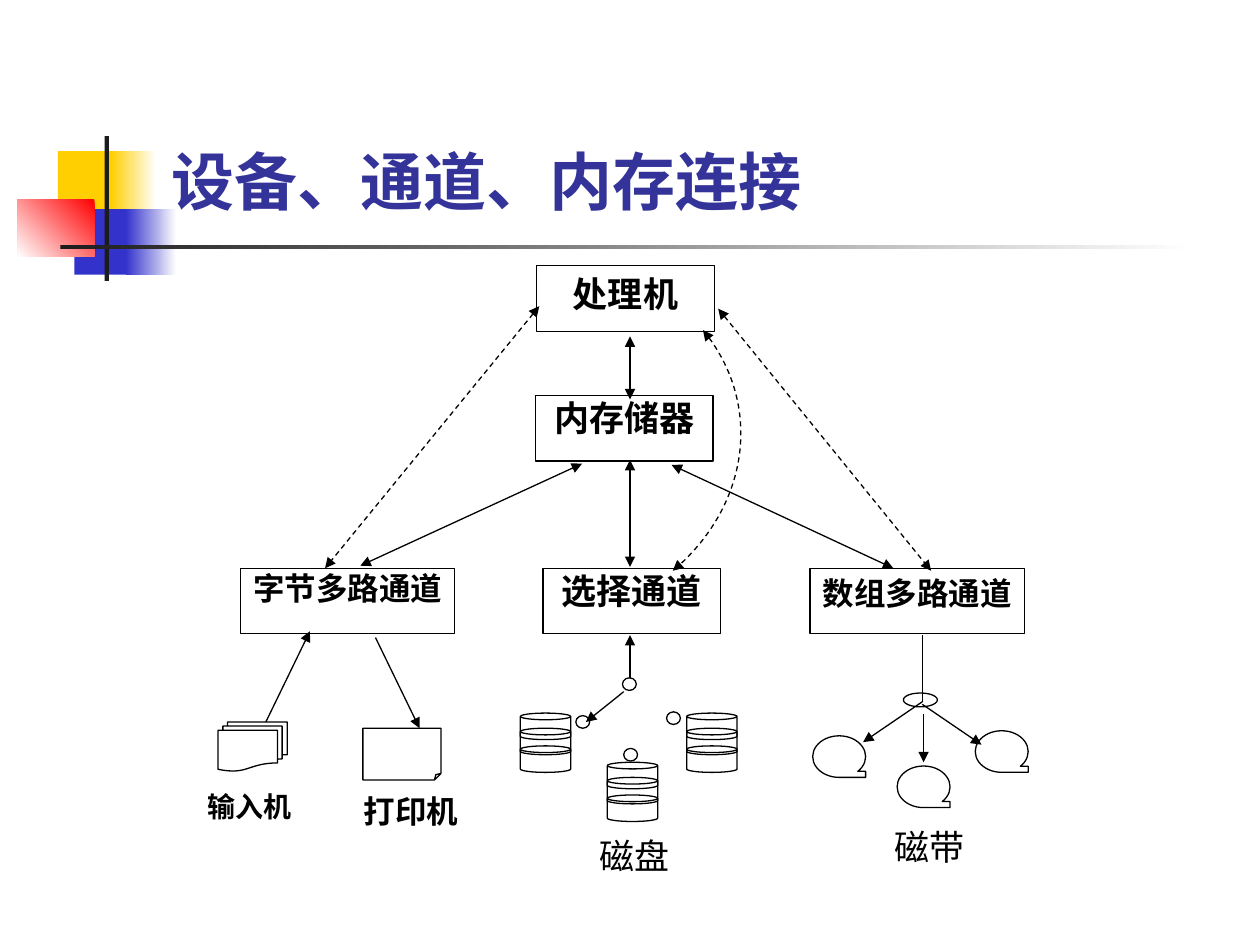
import dataclasses

import lxml.etree
import pptx
import pptx.dml.color
import pptx.enum.dml
import pptx.enum.shapes
import pptx.enum.text
import pptx.oxml.ns
import pptx.util

Pt = pptx.util.Pt
SHAPE = pptx.enum.shapes.MSO_SHAPE
ALIGN = pptx.enum.text.PP_ALIGN
ANCHOR = pptx.enum.text.MSO_ANCHOR
qn = pptx.oxml.ns.qn
rgb = pptx.dml.color.RGBColor.from_string

COLS, ROWS = 100, 75
CELL = pptx.util.Inches(0.1)
BOTH = ("head", "tail")

@dataclasses.dataclass(frozen=True)
class Theme:
    ink: str = "000000"
    title: str = "333399"
    yellow: str = "FFCF01"
    blue: str = "3333CC"
    red: str = "FF0000"
    bar: str = "1C1C1C"
    paper: str = "FFFFFF"
    title_font: str = "Lato"
    body_font: str = "Times New Roman"
    title_size: int = 36
    large: int = 20
    medium: int = 18
    small: int = 16
    line: float = 0.75

THEME = Theme()

def grid(*cells):
    return [round(c * CELL) for c in cells]

def add_block(s, box, color, angle=None):
    """Add a borderless rectangle, fading to the paper colour if an angle is given."""
    sp = s.shapes.add_shape(SHAPE.RECTANGLE, *grid(*box))
    sp.shadow.inherit = False
    sp.line.fill.background()
    if angle is None:
        sp.fill.solid()
        sp.fill.fore_color.rgb = rgb(color)
    else:
        sp.fill.gradient()
        sp.fill.gradient_angle = angle
        for stop, tone in zip(sp.fill.gradient_stops, (color, THEME.paper)):
            stop.color.rgb = rgb(tone)

def draw_line(sp, dashed=False, ends=()):
    sp.line.color.rgb = rgb(THEME.ink)
    sp.line.width = Pt(THEME.line)
    if dashed:
        sp.line.dash_style = pptx.enum.dml.MSO_LINE.DASH
    ln = sp._element.spPr.find(qn("a:ln"))
    for end in ends:
        lxml.etree.SubElement(ln, qn(f"a:{end}End"), type="triangle")

def add_outline(shapes, kind, box):
    sp = shapes.add_shape(kind, *grid(*box))
    sp.shadow.inherit = False
    sp.fill.background()
    draw_line(sp)
    return sp

def format_text(sp, size, font, color, bold=True, align=ALIGN.CENTER):
    p = sp.text_frame.paragraphs[0]
    p.alignment = align
    for r in p.runs:
        r.font.size = Pt(size)
        r.font.name = font
        r.font.bold = bold
        r.font.color.rgb = rgb(color)

def set_label(sp, text, size, bold=True, inset=(0.2, 0.1), before=0):
    """Write one centred line from the top; inset is (side, top) in grid cells."""
    tf = sp.text_frame
    tf.word_wrap = True
    tf.vertical_anchor = ANCHOR.TOP
    tf.margin_left = tf.margin_right = grid(inset[0])[0]
    tf.margin_top = tf.margin_bottom = grid(inset[1])[0]
    tf.text = text
    tf.paragraphs[0].space_before = Pt(before)
    format_text(sp, size, THEME.body_font, THEME.ink, bold)

def add_caption(s, text, box, size, bold=True, before=0):
    set_label(s.shapes.add_textbox(*grid(*box)), text, size, bold, before=before)

def add_arrow(s, start, stop, ends=("tail",), dashed=False):
    kind = pptx.enum.shapes.MSO_CONNECTOR.STRAIGHT
    sp = s.shapes.add_connector(kind, *grid(*start, *stop))
    draw_line(sp, dashed, ends)
    lxml.etree.SubElement(sp._element.spPr, qn("a:effectLst"))

def add_curve(s, start, *bezier):
    """Add a dashed cubic curve, given its two control points and its end."""
    builder = s.shapes.build_freeform(*grid(*start))
    builder.add_line_segments([grid(*point) for point in bezier], close=False)
    sp = builder.convert_to_shape()
    path = sp._element.find(".//" + qn("a:path"))
    segments = path.findall(qn("a:lnTo"))
    curve = lxml.etree.SubElement(path, qn("a:cubicBezTo"))
    for segment in segments:
        curve.append(segment[0])
        path.remove(segment)
    sp.shadow.inherit = False
    sp.fill.background()
    draw_line(sp, dashed=True, ends=BOTH)

def add_title(s, text):
    sp = s.shapes.title
    sp.left, sp.top, sp.width, sp.height = grid(12.6, 5.2, 85.2, 12.6)
    tf = sp.text_frame
    tf.text = text
    tf.auto_size = pptx.enum.text.MSO_AUTO_SIZE.NONE
    tf.vertical_anchor = ANCHOR.BOTTOM
    format_text(sp, THEME.title_size, THEME.title_font, THEME.title, align=ALIGN.LEFT)

def add_decoration(s):
    add_block(s, (4.6, 12, 4.8, 5.2), THEME.yellow)
    add_block(s, (8.8, 12, 3.6, 5.2), THEME.yellow, 0)
    add_block(s, (5.9, 16.6, 4.6, 5.2), THEME.blue)
    add_block(s, (10, 16.6, 4, 5.2), THEME.blue, 0)
    add_block(s, (1.4, 15.8, 6.1, 4.6), THEME.red, 225)
    add_block(s, (8.3, 10.8, 0.35, 11.5), THEME.bar)
    add_block(s, (4.8, 19.45, 90, 0.35), THEME.bar, 0)

def add_units(s):
    channel_top, narrow, wide = 45.1, 14.1, 17
    for text, left, top, width, size, inset, before in (
        ("处理机", 42.6, 21.1, narrow, THEME.large, (1, 0.5), 0),
        ("内存储器", 42.5, 31.4, narrow, THEME.large, (1, 0.1), 3),
        ("字节多路通道", 19.1, channel_top, wide, THEME.medium, (0.6, 0.1), 3),
        ("选择通道", 43.1, channel_top, narrow, THEME.large, (1, 0.1), 3),
        ("数组多路通道", 64.3, channel_top, wide, THEME.medium, (0.2, 0.5), 0),
    ):
        sp = add_outline(s.shapes, SHAPE.RECTANGLE, (left, top, width, 5.2))
        set_label(sp, text, size, inset=inset, before=before)

def add_links(s):
    add_arrow(s, (50, 26.7), (50, 31.7), BOTH)
    add_arrow(s, (46.2, 36.8), (28.6, 44.9), BOTH)
    add_arrow(s, (50, 36.5), (50, 45), BOTH)
    add_arrow(s, (53.3, 36.9), (70.9, 45.1), BOTH)
    add_arrow(s, (42.8, 24.3), (25.8, 45.1), BOTH, dashed=True)
    add_arrow(s, (57, 24.5), (73.9, 45.3), BOTH, dashed=True)
    add_curve(s, (55.8, 26.2), (60.4, 31.7), (59.4, 40.3), (53.4, 45.3))

def add_byte_devices(s):
    add_outline(s.shapes, SHAPE.FLOWCHART_MULTIDOCUMENT, (17.3, 57.3, 5.5, 3.9))
    sheet = add_outline(s.shapes, SHAPE.FOLDED_CORNER, (28.8, 57.8, 6.2, 4.1))
    guides = sheet._element.find(".//" + qn("a:avLst"))
    guides[:] = []
    lxml.etree.SubElement(guides, qn("a:gd"), name="adj", fmla="val 12500")
    add_arrow(s, (21.1, 57.3), (24.6, 50.1))
    add_arrow(s, (29.8, 50.6), (33.3, 57.8))
    add_caption(s, "输入机", (15.8, 62.6, 8, 4.4), THEME.small)
    add_caption(s, "打印机", (28.5, 62.8, 8.2, 4.4), THEME.medium)

def add_disks(s):
    for left, top in ((41.3, 56.6), (48.2, 60.5), (54.5, 56.6)):
        group = s.shapes.add_group_shape()
        for drop in (0, 1.2, 2.6):
            add_outline(group.shapes, SHAPE.CAN, (left, top + drop, 4, 2.1))
    for left, top in ((49.4, 53.8), (45.7, 56.8), (49.5, 59.4), (52.9, 56.5)):
        add_outline(s.shapes, SHAPE.OVAL, (left, top, 1.1, 1))
    add_arrow(s, (50, 53.8), (50, 50.4))
    add_arrow(s, (49.5, 54.9), (46.5, 57.3))
    add_caption(s, "磁盘", (46.5, 66.1, 7.7, 3.9), THEME.large, bold=False)

def add_tapes(s):
    for left, top in ((64.5, 58.4), (71.2, 60.8), (77.4, 58)):
        add_outline(s.shapes, SHAPE.FLOWCHART_SEQUENTIAL_ACCESS_STORAGE, (left, top, 4.2, 3.3))
    add_outline(s.shapes, SHAPE.OVAL, (71.7, 55, 2.7, 1.1))
    add_arrow(s, (73.2, 50.4), (73.2, 55.7), ends=())
    add_arrow(s, (73.2, 55.7), (68.5, 58.9))
    add_arrow(s, (73.2, 55.9), (77.9, 59.1))
    add_arrow(s, (73.3, 56.7), (73.3, 60.5))
    add_caption(s, "磁带", (69.7, 65.4, 8.2, 4.6), THEME.large, bold=False, before=3)

def main():
    prs = pptx.Presentation()
    prs.slide_width, prs.slide_height = grid(COLS, ROWS)
    s = prs.slides.add_slide(prs.slide_layouts.get_by_name("Title Only"))
    add_title(s, "设备、通道、内存连接")
    for add_part in (add_decoration, add_units, add_links, add_byte_devices, add_disks, add_tapes):
        add_part(s)
    prs.save("out.pptx")

if __name__ == "__main__":
    main()
